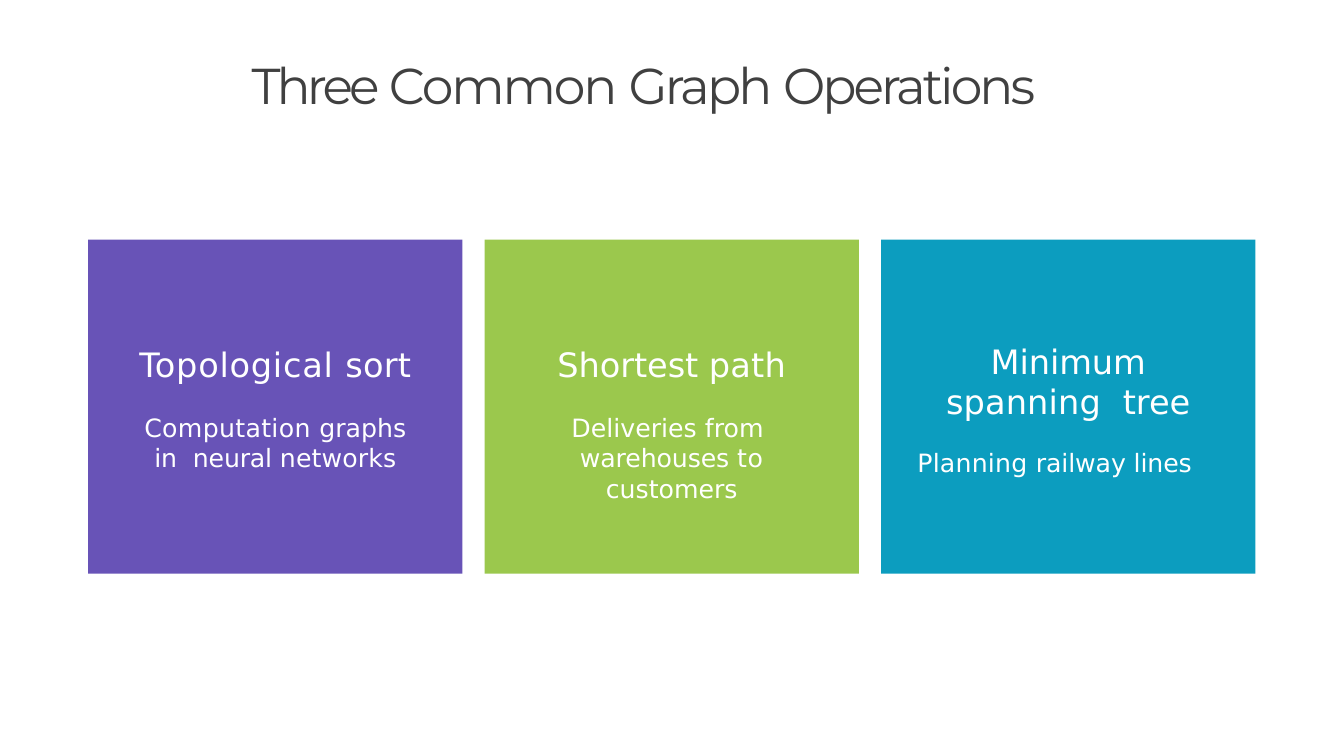
from pptx import Presentation
from pptx.dml.color import RGBColor
from pptx.enum.shapes import MSO_SHAPE
from pptx.enum.text import MSO_ANCHOR, PP_ALIGN
from pptx.util import Pt

RECTANGLE = MSO_SHAPE.RECTANGLE
TOP = MSO_ANCHOR.TOP
LEFT, CENTER = PP_ALIGN.LEFT, PP_ALIGN.CENTER

COLORS = {
    "title": "404040",
    "text": "FFFFFF",
    "purple": "6853B7",
    "green": "9BC84D",
    "blue": "0C9DBF",
}
TITLE_FONT, BODY_FONT = "Montserrat", "DejaVu Sans"
CARD_LEFT, CARD_TOP = 84, 228.3
CARD_WIDTH, CARD_HEIGHT = 356.4, 318
CARD_STEP = 377.6

TITLE = [("Three ", -3.7), ("Common ", -2), ("Graph ", -2.6), ("Operations", -2.8)]
CARDS = [
    {
        "color": "purple", "inset": 99,
        "heading": [("Topological ", 0.7), ("sort", 0.2)],
        "heading_format": {},
        "detail": [("Computation ", 0.3), ("graphs ", 0), ("in  ", -0.1),
                   ("neural ", -0.2), ("networks", 0.1)],
        "detail_format": {"margins": (44, 44), "spacing": 1.01, "before": 26.4},
    },
    {
        "color": "green", "inset": 99,
        "heading": [("Shortest ", -0.1), ("path", 0.2)],
        "heading_format": {},
        "detail": [("Deliveries ", 0), ("from  ", 0.1), ("warehouses ", -0.1),
                   ("to ", 0.6), ("customers", 0)],
        "detail_format": {"margins": (44, 44), "spacing": 1.01, "before": 26.4},
    },
    {
        "color": "blue", "inset": 96.5,
        "heading": [("Minimum ", -0.1), ("spanning  ", 0.1), ("tree", 0)],
        "heading_format": {"margins": (44, 44), "spacing": Pt(38)},
        "detail": [("Planning ", 0.2), ("railway lines", -0.1)],
        "detail_format": {"margins": (0, 26), "before": 25.4},
    },
]


def set_frame(frame, inset):
    frame.word_wrap = True
    frame.vertical_anchor = TOP
    frame.margin_left = frame.margin_right = frame.margin_bottom = 0
    frame.margin_top = Pt(inset)


def write_para(para, spans, font, size, color, align=CENTER,
               margins=(0, 0), spacing=1.0, before=0):
    para.alignment = align
    para.line_spacing = spacing
    para.space_before = Pt(before)
    para.font.name = font
    para.font.size = Pt(size)
    para.font.color.rgb = RGBColor.from_string(COLORS[color])
    properties = para._p.get_or_add_pPr()
    for name, margin in zip(("marL", "marR"), margins):
        properties.set(name, str(Pt(margin)))
    for text, tracking in spans:
        span = para.add_run()
        span.text = text
        span._r.get_or_add_rPr().set("spc", str(round(tracking * 100)))


def add_title(page):
    box = page.shapes.add_textbox(Pt(239), Pt(51), Pt(801.4), Pt(60))
    set_frame(box.text_frame, 1)
    write_para(box.text_frame.paragraphs[0], TITLE, TITLE_FONT, 48, "title",
               align=LEFT, margins=(0.7, 0), before=1)


def add_card(page, index, card):
    box = page.shapes.add_shape(
        RECTANGLE, Pt(CARD_LEFT + index * CARD_STEP), Pt(CARD_TOP),
        Pt(CARD_WIDTH), Pt(CARD_HEIGHT))
    box.shadow.inherit = False
    box.fill.solid()
    box.fill.fore_color.rgb = RGBColor.from_string(COLORS[card["color"]])
    box.line.fill.background()
    frame = box.text_frame
    set_frame(frame, card["inset"])
    write_para(frame.paragraphs[0], card["heading"], BODY_FONT, 32, "text",
               **card["heading_format"])
    write_para(frame.add_paragraph(), card["detail"], BODY_FONT, 24, "text",
               **card["detail_format"])


def main():
    deck = Presentation()
    deck.slide_width, deck.slide_height = Pt(1280), Pt(720)
    page = deck.slides.add_slide(deck.slide_layouts[6])
    add_title(page)
    for index, card in enumerate(CARDS):
        add_card(page, index, card)
    deck.save("out.pptx")


if __name__ == "__main__":
    main()
